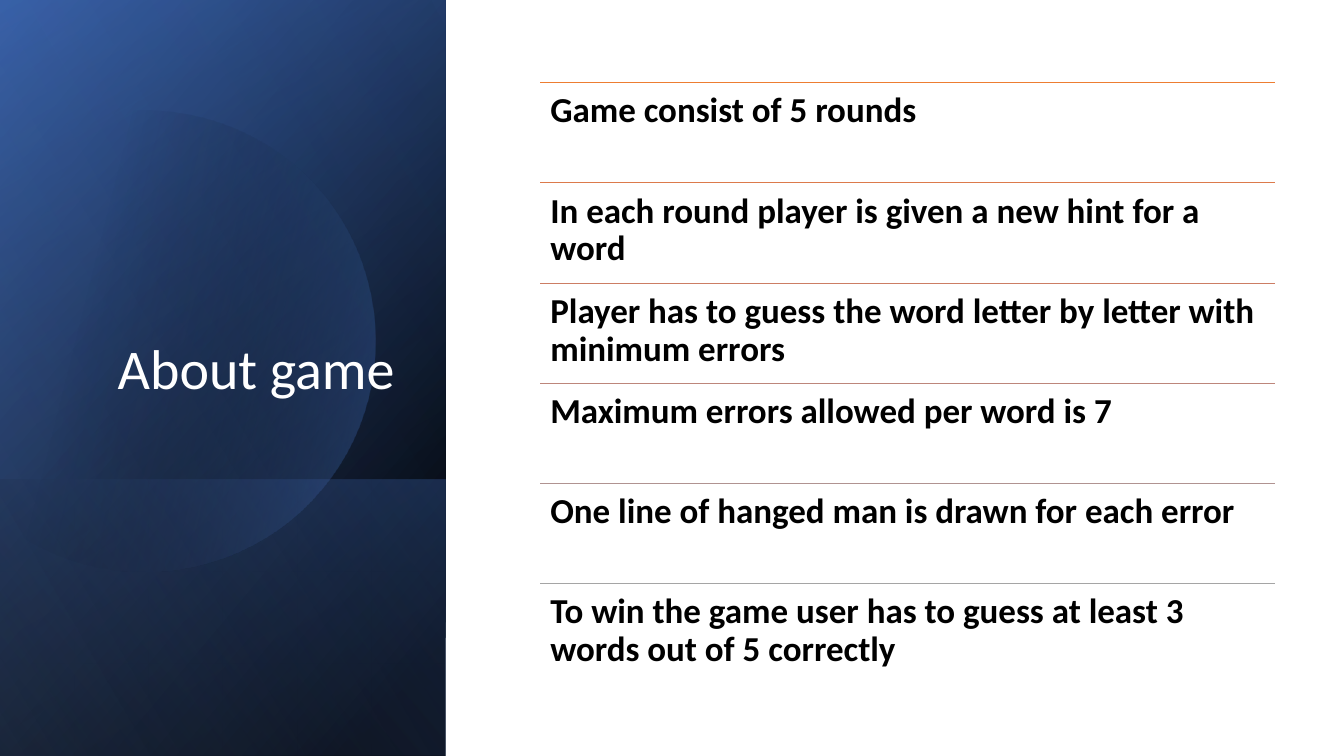
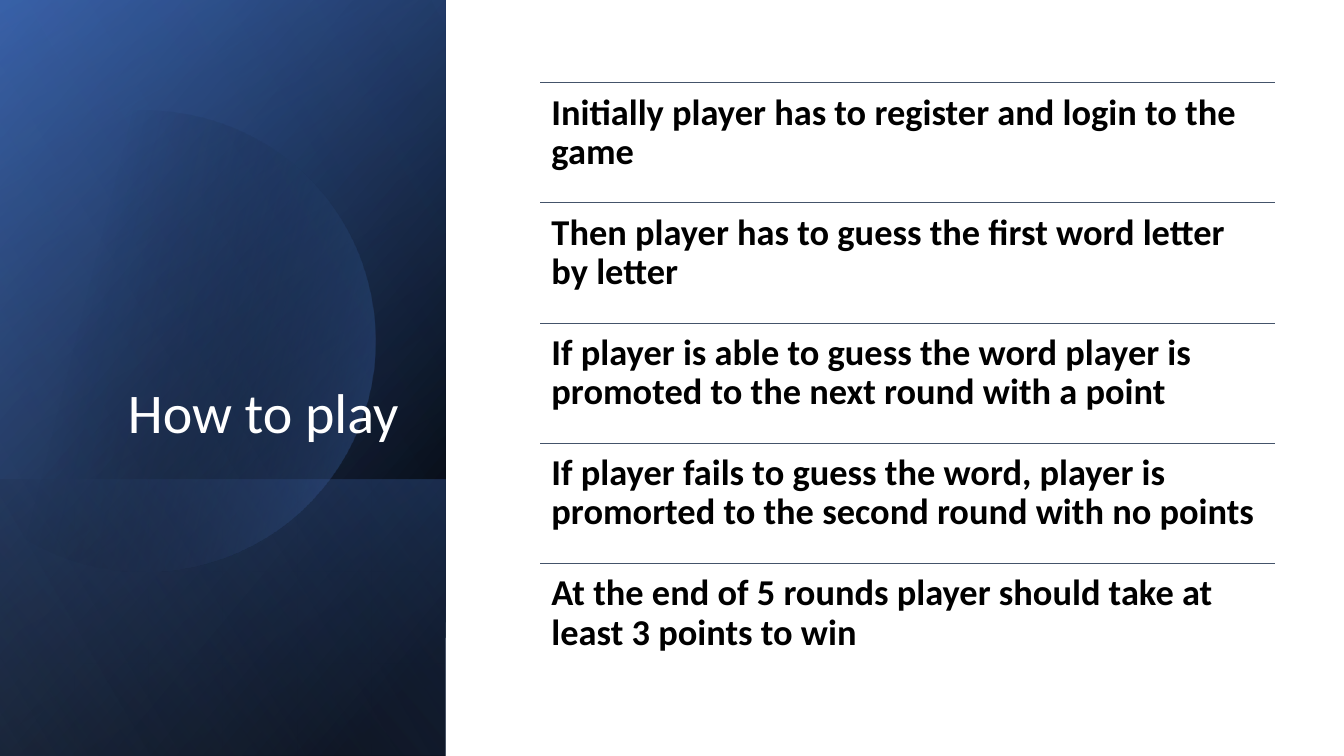
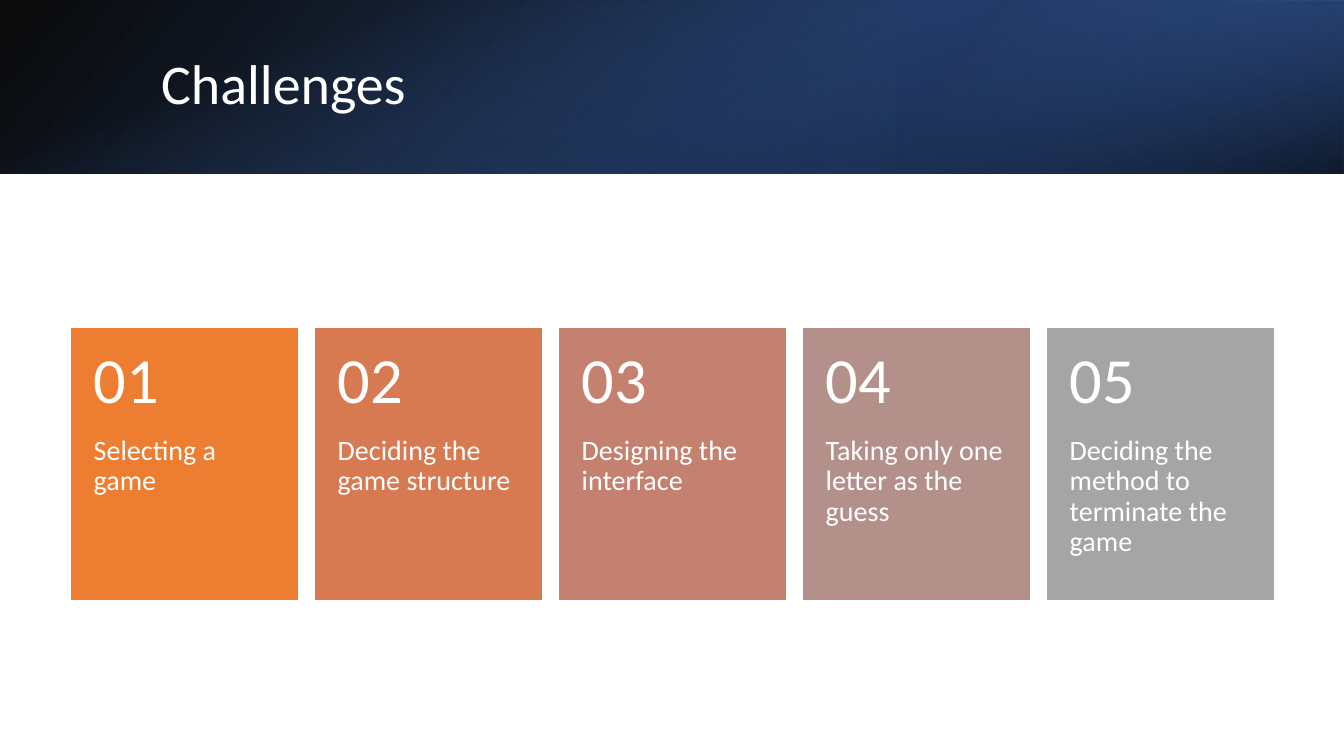
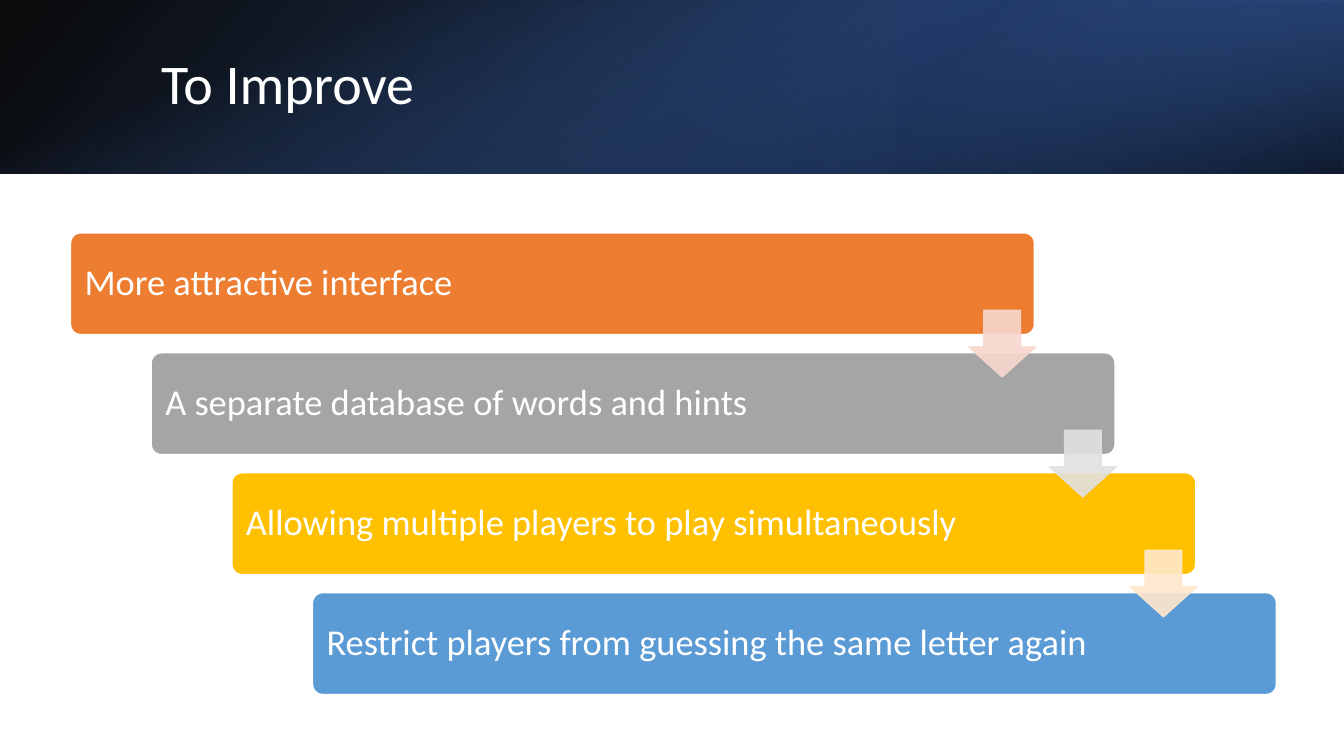
from lxml.etree import SubElement
from pptx import Presentation
from pptx.dml.color import RGBColor
from pptx.enum.shapes import MSO_CONNECTOR, MSO_SHAPE
from pptx.enum.text import MSO_ANCHOR, PP_ALIGN
from pptx.oxml import parse_xml
from pptx.oxml.ns import nsdecls, qn
from pptx.util import Inches, Pt

# Palette
WHITE, BLACK = "FFFFFF", "000000"
BLUE, NAVY, DEEP, PALE = "4472C4", "2F5597", "203864", "8FAADC"
ORANGE, GRAY, GOLD, SKY, SLATE = "ED7D31", "A5A5A5", "FFC000", "5B9BD5", "44546A"

# Circle on the side panel: start point, then cubic curves and straight lines
CIRCLE_START = (1.49, 1.1)
CIRCLE = [
    [(2.46, 1.12), (3.35, 1.77), (3.63, 2.75)],
    [(3.98, 3.97), (3.28, 5.23), (2.07, 5.58)],
    [(1.31, 5.8), (0.53, 5.61), (-0.03, 5.14)],
    [(-0.15, 5.03)],
    [(-0.15, 1.75)],
    [(0, 1.61)],
    [(0.23, 1.42), (0.5, 1.28), (0.8, 1.19)],
    [(1.03, 1.13), (1.26, 1.1), (1.49, 1.1)],
]


def rgb(color):
    return RGBColor.from_string(color)


def flatten(start, segments, steps=24):
    """Turn cubic curves and lines into a list of points."""
    points = [start]
    for segment in segments:
        if len(segment) == 1:
            points += segment
            continue
        a, (b, c, d) = points[-1], segment
        for i in range(1, steps + 1):
            t = i / steps
            u = 1 - t
            points.append(tuple(
                u**3 * a[k] + 3 * u * u * t * b[k] + 3 * u * t * t * c[k] + t**3 * d[k]
                for k in (0, 1)))
    return points


class Deck:
    font = "Calibri"

    def __init__(self):
        self.prs = Presentation()
        self.prs.slide_width, self.prs.slide_height = Inches(13.33), Inches(7.5)
        self.s = None

    def new_slide(self):
        self.s = self.prs.slides.add_slide(self.prs.slide_layouts[6])

    # Basic elements
    def text(self, sp, text, size, color, bold=False, align=PP_ALIGN.LEFT,
             anchor=MSO_ANCHOR.TOP, inset=(0.1, 0.05, 0.1, 0.05)):
        tf = sp.text_frame
        tf.word_wrap = True
        tf.vertical_anchor = anchor
        (tf.margin_left, tf.margin_top,
         tf.margin_right, tf.margin_bottom) = map(Inches, inset)
        p = tf.paragraphs[0]
        p.text, p.alignment, p.line_spacing = text, align, 0.9
        p.font.name, p.font.size, p.font.bold = self.font, Pt(size), bold
        p.font.color.rgb = rgb(color)

    def textbox(self, box, text, size, color, **style):
        self.text(self.s.shapes.add_textbox(*map(Inches, box)), text, size, color, **style)

    def shape(self, kind, box, fill, line, adjust=(), alpha=None):
        sp = self.s.shapes.add_shape(kind, *map(Inches, box))
        sp.shadow.inherit = False
        for i, value in enumerate(adjust):
            sp.adjustments[i] = value
        sp.fill.solid()
        sp.fill.fore_color.rgb = rgb(fill)
        sp.line.color.rgb = rgb(line)
        sp.line.width = Pt(1)
        if alpha is not None:
            for clr in sp.element.spPr.iter(qn("a:srgbClr")):
                SubElement(clr, qn("a:alpha")).set("val", str(alpha * 1000))
        return sp

    def rule(self, x1, x2, y, color):
        c = self.s.shapes.add_connector(
            MSO_CONNECTOR.STRAIGHT, Inches(x1), Inches(y), Inches(x2), Inches(y))
        c.line.color.rgb = rgb(color)
        c.line.width = Pt(0.5)
        SubElement(c.element.spPr, qn("a:effectLst"))

    # Gradients: stops are (position %, colour, opacity %)
    def gradient(self, sp, stops, angle):
        sp.shadow.inherit = False
        sp.line.fill.background()
        sp.fill.background()
        gs = "".join(
            f'<a:gs pos="{pos * 1000}"><a:srgbClr val="{color}">'
            f'<a:alpha val="{alpha * 1000}"/></a:srgbClr></a:gs>'
            for pos, color, alpha in stops)
        spPr = sp.element.spPr
        spPr.replace(spPr.find(qn("a:noFill")), parse_xml(
            f'<a:gradFill {nsdecls("a")} rotWithShape="1"><a:gsLst>{gs}</a:gsLst>'
            f'<a:lin ang="{angle * 60000}" scaled="0"/></a:gradFill>'))

    def gradient_rect(self, box, stops, angle, rotation=0, flip=True):
        sp = self.s.shapes.add_shape(MSO_SHAPE.RECTANGLE, *map(Inches, box))
        sp.rotation = rotation
        if flip:
            sp.element.spPr.find(qn("a:xfrm")).set("flipH", "1")
        self.gradient(sp, stops, angle)

    def gradient_circle(self, stops, angle):
        points = [(Inches(x), Inches(y)) for x, y in flatten(CIRCLE_START, CIRCLE)]
        fb = self.s.shapes.build_freeform(*points[0])
        fb.add_line_segments(points[1:], close=True)
        self.gradient(fb.convert_to_shape(), stops, angle)

    # Slide frames
    def side_panel(self, title, title_box):
        self.new_slide()
        panel = (-1.54, 1.54, 7.5, 4.42)
        self.gradient_rect(panel, [(8, BLACK, 100), (100, NAVY, 100)], 50, 90)
        self.gradient_rect(panel, [(0, BLACK, 0), (99, BLUE, 46)], 30, 90)
        self.gradient_rect((0.84, 3.92, 2.74, 4.42),
                           [(2, BLUE, 29), (100, BLACK, 30)], 130, 90)
        self.gradient_circle([(29, BLACK, 0), (100, BLUE, 43)], 14)
        self.gradient_rect(panel, [(0, BLACK, 0), (99, PALE, 11)], 120, 90)
        self.textbox(title_box, title, 40, WHITE,
                     align=PP_ALIGN.RIGHT, anchor=MSO_ANCHOR.BOTTOM)

    def top_band(self, title):
        self.new_slide()
        self.gradient_rect((0, 0, 13.33, 1.72), [(0, BLACK, 96), (100, NAVY, 100)], 140)
        self.gradient_rect((8.89, 0, 4.44, 1.72),
                           [(19, DEEP, 68), (100, BLUE, 79)], 320, 180)
        self.gradient_rect((5.8, -5.8, 1.72, 13.33),
                           [(23, BLUE, 0), (99, BLACK, 74)], 340, 90, flip=False)
        self.textbox((1.5, 0.38, 10.98, 0.96), title, 40, WHITE, anchor=MSO_ANCHOR.MIDDLE)

    # Slide contents
    def ruled_list(self, items, colors, size, inset):
        left, top, width = 5.36, 0.82, 7.29
        row = 5.96 / len(items)
        for i, (item, color) in enumerate(zip(items, colors)):
            y = top + i * row
            self.rule(left, left + width, y, color)
            self.textbox((left, y, width, row), item, size, BLACK,
                         bold=True, inset=(inset,) * 4)

    def cards(self, items):
        top, width = 3.26, 2.24
        for i, (item, color) in enumerate(items):
            x = 0.71 + i * 2.42
            self.shape(MSO_SHAPE.RECTANGLE, (x, top, width, 2.69), color, color)
            self.textbox((x, top + 1.07, width, 1.62), item, 20, WHITE,
                         inset=(0.22, 0, 0.22, 0.36))
            self.textbox((x, top, width, 1.08), f"{i + 1:02}", 46, WHITE,
                         anchor=MSO_ANCHOR.MIDDLE, inset=(0.22, 0.18, 0.22, 0.18))

    def staircase(self, items, arrow_colors):
        dx, dy = 0.8, 1.19
        for i, (item, color) in enumerate(items):
            sp = self.shape(MSO_SHAPE.ROUNDED_RECTANGLE,
                            (0.7 + i * dx, 2.31 + i * dy, 9.56, 1.01),
                            color, WHITE, adjust=[0.1])
            self.text(sp, item, 26, WHITE, anchor=MSO_ANCHOR.MIDDLE, inset=(0.11,) * 4)
        for i, color in enumerate(arrow_colors):
            self.shape(MSO_SHAPE.DOWN_ARROW,
                       (9.61 + i * dx, 3.08 + i * dy, 0.66, 0.66),
                       color, color, adjust=[0.55, 0.45], alpha=90)


def main():
    deck = Deck()

    # About game
    deck.side_panel("About game", (0.19, 2.39, 3.82, 1.64))
    deck.ruled_list([
        "Game consist of 5 rounds",
        "In each round player is given a new hint for a word",
        "Player has to guess the word letter by letter with minimum errors",
        "Maximum errors allowed per word is 7",
        "One line of hanged man is drawn for each error",
        "To win the game user has to guess at least 3 words out of 5 correctly",
    ], [ORANGE, "DC7A4B", "CC7D64", "BD867B", "B09391", GRAY], 25, 0.1)

    # How to play
    deck.side_panel("How to play", (0.12, 2.74, 3.93, 1.73))
    deck.ruled_list([
        "Initially player has to register and login to the game",
        "Then player has to guess the first word letter by letter",
        "If player is able to guess the word player is promoted to the next round with a point",
        "If player fails to guess the word, player is promorted to the second round with no points",
        "At the end of 5 rounds player should take at least 3 points to win",
    ], [SLATE] * 5, 26, 0.11)

    # Challenges
    deck.top_band("Challenges")
    deck.cards([
        ("Selecting a game", ORANGE),
        ("Deciding the game structure", "D87A51"),
        ("Designing the interface", "C48170"),
        ("Taking only one letter as the guess", "B4908B"),
        ("Deciding the method to terminate the game", GRAY),
    ])

    # To Improve
    deck.top_band("To Improve")
    deck.staircase([
        ("More attractive interface", ORANGE),
        ("A separate database of words and hints", GRAY),
        ("Allowing multiple players to play simultaneously", GOLD),
        ("Restrict players from guessing the same letter again", SKY),
    ], ["F8D7CE", "E1E1E1", "FFE8CC"])

    deck.prs.save("out.pptx")


if __name__ == "__main__":
    main()
